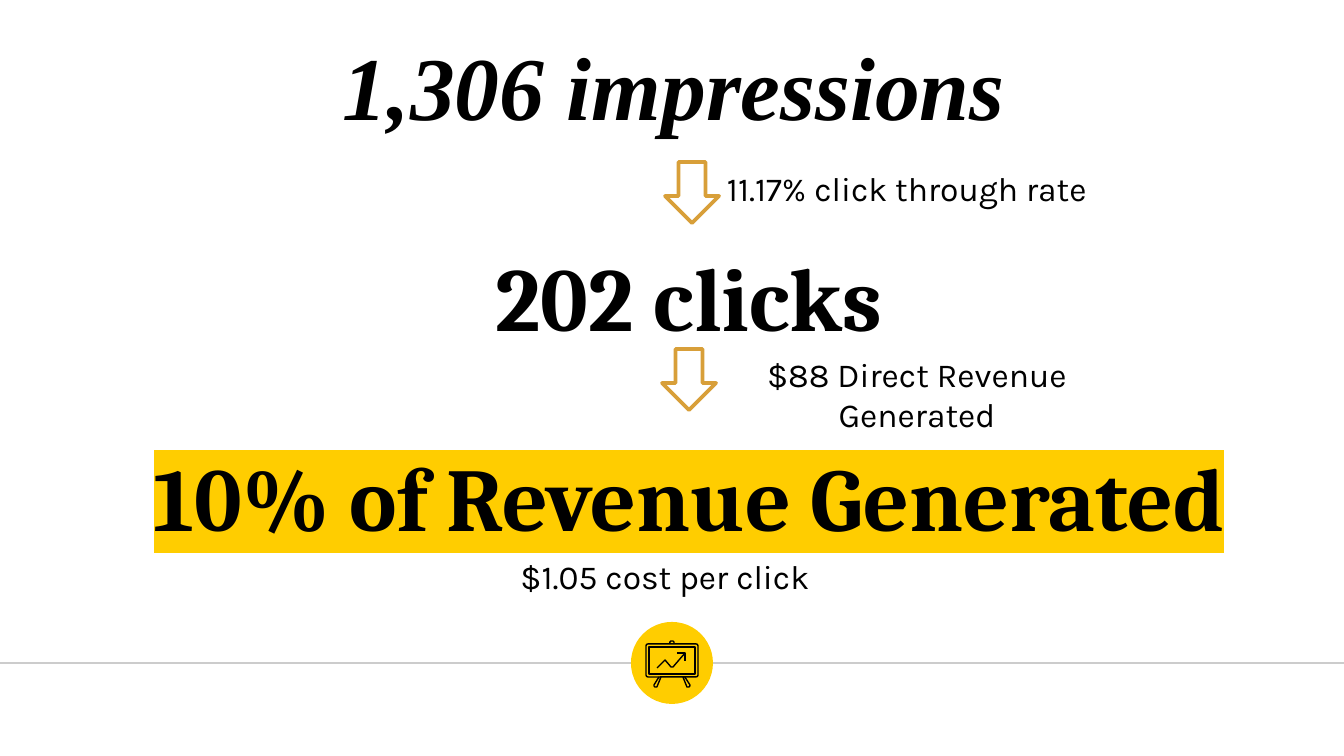
from lxml import etree
from pptx import Presentation
from pptx import util as u
from pptx.dml.color import RGBColor
from pptx.enum import shapes, text
from pptx.oxml.ns import qn

SLIDE_WIDTH, SLIDE_HEIGHT = 1344, 756
EMU_PER_PX = 914400 / 134.4
INSET = 13

BLACK = RGBColor(0x00, 0x00, 0x00)
WHITE = RGBColor(0xFF, 0xFF, 0xFF)
YELLOW = RGBColor(0xFF, 0xCD, 0x00)
GOLD = RGBColor(0xD8, 0x9F, 0x39)
GREY = RGBColor(0xCC, 0xCC, 0xCC)


def px(length):
    return u.Emu(round(length * EMU_PER_PX))


def add_text(slide, box, words, font_name, size, anchor):
    """Add a centred one-paragraph text box and return its paragraph."""
    frame = slide.shapes.add_textbox(*map(px, box)).text_frame
    frame.word_wrap = True
    frame.vertical_anchor = anchor
    frame.margin_left = frame.margin_right = px(INSET)
    frame.margin_top = frame.margin_bottom = px(INSET)
    paragraph = frame.paragraphs[0]
    paragraph.text = words
    paragraph.alignment = text.PP_ALIGN.CENTER
    font = paragraph.font
    font.name, font.size, font.color.rgb = font_name, u.Pt(size), BLACK
    return paragraph


def add_headline(slide, left, top, words, font_name="Cambria"):
    paragraph = add_text(slide, (left, top, 1142, 132), words, font_name, 48,
                         text.MSO_ANCHOR.BOTTOM)
    paragraph.font.bold = True
    return paragraph


def add_caption(slide, left, top, width, words):
    add_text(slide, (left, top, width, 69), words, "Karla", 18, text.MSO_ANCHOR.TOP)


def highlight(paragraph, color):
    for run in paragraph.runs:
        mark = etree.SubElement(run.font._element, qn("a:highlight"))
        etree.SubElement(mark, qn("a:srgbClr"), val=str(color))


def style(shape, fill=None, line=None, width=0.75):
    shape.shadow.inherit = False
    if fill is None:
        shape.fill.background()
    else:
        shape.fill.solid()
        shape.fill.fore_color.rgb = fill
    if line is None:
        shape.line.fill.background()
    else:
        shape.line.color.rgb = line
        shape.line.width = u.Pt(width)


def add_preset(slide, kind, box, **look):
    shape = slide.shapes.add_shape(kind, *map(px, box))
    style(shape, **look)
    return shape


def add_down_arrow(slide, left, top):
    add_preset(slide, shapes.MSO_SHAPE.DOWN_ARROW, (left, top, 54, 61),
               fill=WHITE, line=GOLD, width=2)


def add_outline(slide, points):
    """Draw an open black outline through the points."""
    builder = slide.shapes.build_freeform(*points[0], scale=EMU_PER_PX)
    builder.add_line_segments(points[1:], close=False)
    style(builder.convert_to_shape(), line=BLACK)


def add_divider(slide, y):
    line = slide.shapes.add_connector(shapes.MSO_CONNECTOR.STRAIGHT,
                                      px(-1), px(y), px(SLIDE_WIDTH + 1), px(y))
    line.line.color.rgb = GREY
    line.line.width = u.Pt(0.75)
    etree.SubElement(line._element.spPr, qn("a:effectLst"))


def add_board_icon(slide):
    board = add_preset(slide, shapes.MSO_SHAPE.ROUNDED_RECTANGLE,
                       (646, 644, 52, 33), line=BLACK)
    board.adjustments[0] = 0.06
    add_preset(slide, shapes.MSO_SHAPE.RECTANGLE, (649, 647, 46, 27), line=BLACK)

    knob = [(670, 644), (670, 642), (671, 641), (673, 641), (674, 642), (674, 644)]
    left_leg = [(659, 677), (654, 685), (654, 686), (655, 687), (657, 687), (661, 677)]
    right_leg = [(SLIDE_WIDTH - x, y) for x, y in left_leg]
    trend = [(685, 653), (673, 667), (671, 667), (665, 660), (657, 668)]
    trend_head = [(677, 653), (685, 653), (685, 661)]
    for points in (knob, left_leg, right_leg, trend, trend_head):
        add_outline(slide, points)


def main():
    presentation = Presentation()
    presentation.slide_width = px(SLIDE_WIDTH)
    presentation.slide_height = px(SLIDE_HEIGHT)
    slide = presentation.slides.add_slide(presentation.slide_layouts[6])

    add_divider(slide, 663)
    add_preset(slide, shapes.MSO_SHAPE.OVAL, (631, 622, 82, 82), fill=YELLOW)

    impressions = add_headline(slide, 103, 19, "1,306 impressions", "Times New Roman")
    impressions.font.italic = True
    revenue = add_headline(slide, 118, 430, "10% of Revenue Generated")
    highlight(revenue, YELLOW)
    add_headline(slide, 118, 230, "202 clicks")

    add_caption(slide, 94, 543, 1142, "$1.05 cost per click")
    add_caption(slide, 336, 155, 1142, "11.17% click through rate")
    add_caption(slide, 692, 341, 450, "$88 Direct Revenue Generated")

    add_down_arrow(slide, 662, 349)
    add_down_arrow(slide, 665, 162)
    add_board_icon(slide)

    presentation.save("out.pptx")


if __name__ == "__main__":
    main()
